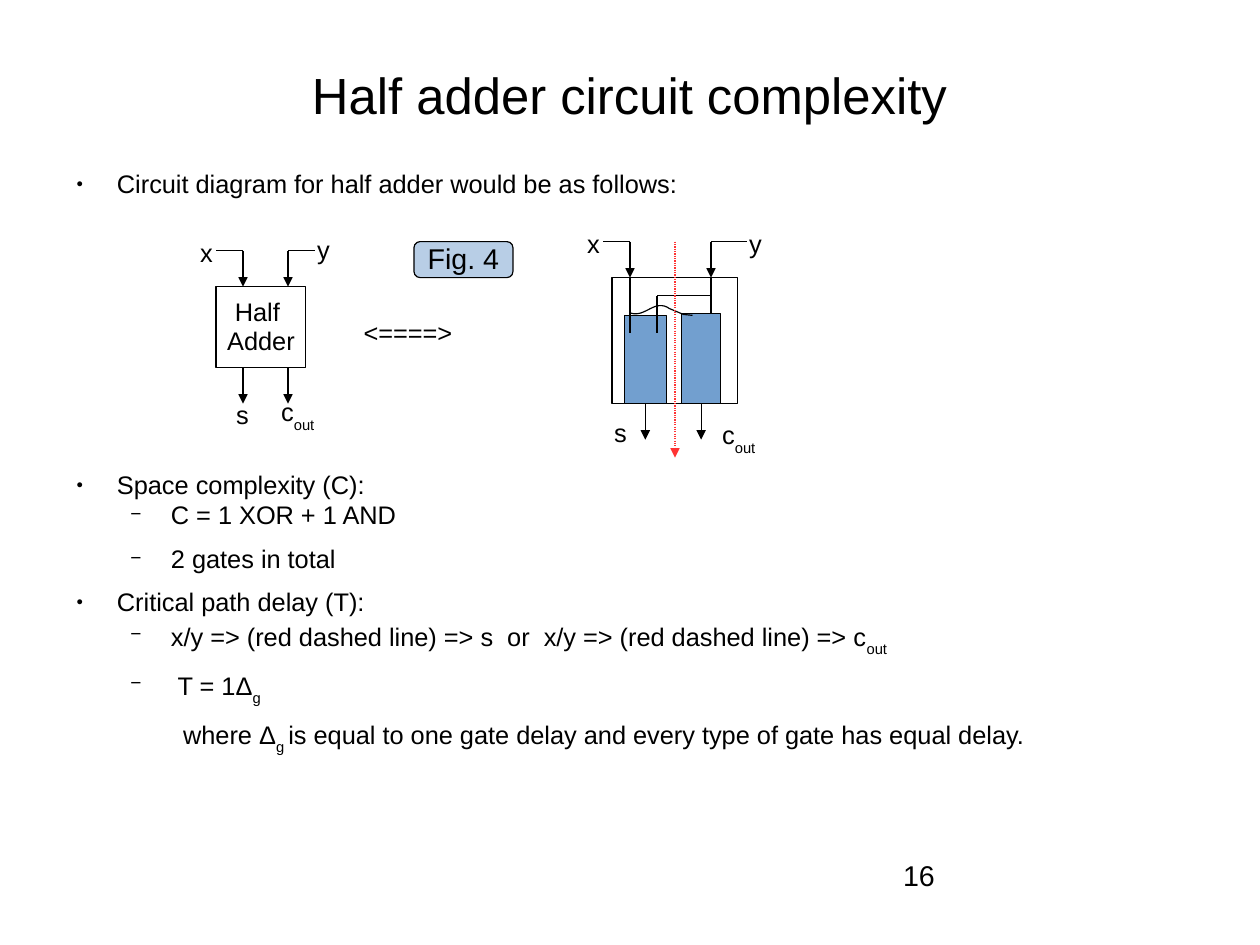
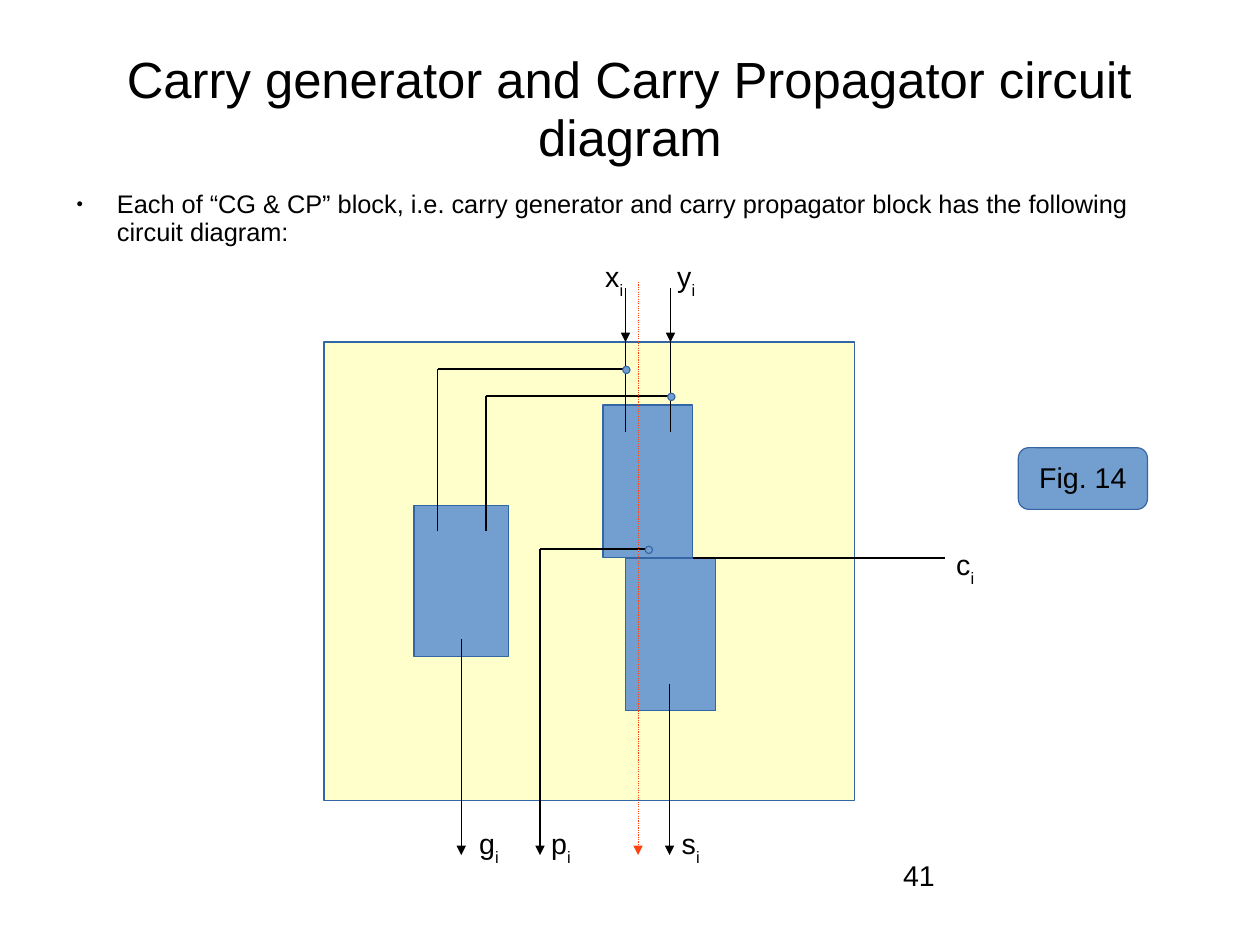
"""Build two slides on half adder and carry generator circuits."""
import dataclasses
import itertools

import lxml.etree
import pptx
import pptx.dml.color
import pptx.enum.dml
import pptx.enum.shapes
import pptx.enum.text
import pptx.oxml.ns
import pptx.util

COLUMNS, ROWS = 28, 21
CELL = pptx.util.Cm(1)
SHAPES = pptx.enum.shapes.MSO_SHAPE
CENTER = pptx.enum.text.PP_ALIGN.CENTER
MIDDLE = pptx.enum.text.MSO_ANCHOR.MIDDLE
BOTTOM_SIDE = 2


@dataclasses.dataclass(frozen=True)
class Theme:
    """Hold the colours and type sizes of the slides."""
    font: str = "Arial"
    black: str = "000000"
    white: str = "FFFFFF"
    panel: str = "FFFFCC"
    gate: str = "729FCF"
    outline: str = "3465A4"
    bright_red: str = "FF3333"
    orange_red: str = "FF420E"
    title_size: float = 32
    body_size: float = 16
    large_size: float = 18
    line_width: float = 0.75
    spacing: float = 0.94
    tight_spacing: float = 0.84


THEME = Theme()
NO_INSETS = (0, 0, 0, 0)
BODY_INSETS = (0, 0.03, 0, 0)
LABEL_INSETS = (0.25, 0.15, 0.25, 0.13)


@dataclasses.dataclass(frozen=True)
class Level:
    """Describe the indents and marker of a paragraph."""
    margin: float = 0
    indent: float = 0
    space_after: float = 0
    marker: str = ""
    marker_size: int = 100


PLAIN = Level()
BULLET = Level(1.2, -0.9, 2.9, "●", 45)
DASH = Level(2.4, -0.9, 11.4, "−", 75)
WIDE_DASH = Level(2.55, -1.05, 11.4, "−", 75)
CONTINUED = Level(2.67, 0, 11.4)


def cells(*values):
    """Turn grid cells into lengths."""
    return [round(value * CELL) for value in values]


def color(value):
    """Turn a hexadecimal value into a colour."""
    return pptx.dml.color.RGBColor.from_string(value)


def apply_format(target, values):
    """Set each attribute of the target from a dict."""
    for name, value in values.items():
        setattr(target, name, value)


def add_element(parent, tag, **attributes):
    """Append a drawing element to its parent."""
    return lxml.etree.SubElement(parent, pptx.oxml.ns.qn(tag), attributes)


def set_level(paragraph, level):
    """Give a paragraph its indents and its marker."""
    properties = paragraph._p.get_or_add_pPr()
    margin, indent = cells(level.margin, level.indent)
    properties.set("marL", str(margin))
    properties.set("indent", str(indent))
    if level.marker:
        marker_color = add_element(properties, "a:buClr")
        add_element(marker_color, "a:srgbClr", val=THEME.black)
        add_element(properties, "a:buSzPct", val=str(level.marker_size * 1000))
        add_element(properties, "a:buFont", typeface=THEME.font)
        add_element(properties, "a:buChar", char=level.marker)


def write(shape, paragraphs, size, insets=LABEL_INSETS, align=None, anchor=None,
          wrap=True, spacing=THEME.spacing):
    """Write (level, pieces) paragraphs, where every second piece is a subscript."""
    frame = shape.text_frame
    sides = ("margin_left", "margin_top", "margin_right", "margin_bottom")
    apply_format(frame, dict(zip(sides, cells(*insets))))
    apply_format(frame, {"word_wrap": wrap, "vertical_anchor": anchor})
    for index, (level, pieces) in enumerate(paragraphs):
        paragraph = frame.add_paragraph() if index else frame.paragraphs[0]
        set_level(paragraph, level)
        apply_format(paragraph, {
            "alignment": align,
            "line_spacing": spacing,
            "space_after": pptx.util.Pt(level.space_after),
        })
        for position, piece in enumerate(pieces):
            run = paragraph.add_run()
            run.text = piece
            apply_format(run.font, {"name": THEME.font, "size": pptx.util.Pt(size)})
            run.font.color.rgb = color(THEME.black)
            if position % 2:
                run._r.get_or_add_rPr().set("baseline", "-33000")


def add_text(slide, box, paragraphs, size, **options):
    """Add a text box."""
    write(slide.shapes.add_textbox(*cells(*box)), paragraphs, size, **options)


def add_label(slide, left, top, *pieces, size=THEME.body_size):
    """Add a short label with an optional subscript."""
    add_text(slide, (left, top, 2.8, 1.1), [(PLAIN, pieces)], size)


def set_line(line, value):
    """Give a line its colour and width."""
    line.color.rgb = color(value)
    line.width = pptx.util.Pt(THEME.line_width)


def add_block(slide, box, fill, outline=THEME.black, kind=SHAPES.RECTANGLE):
    """Add a filled and outlined shape."""
    shape = slide.shapes.add_shape(kind, *cells(*box))
    shape.shadow.inherit = False
    shape.fill.solid()
    shape.fill.fore_color.rgb = color(fill)
    set_line(shape.line, outline)
    return shape


def add_caption(slide, box, text, outline, opacity=100):
    """Add a rounded figure caption."""
    shape = add_block(slide, box, THEME.gate, outline, SHAPES.ROUNDED_RECTANGLE)
    shape.adjustments[0] = 0.17
    fill_color = shape._element.spPr.find(".//" + pptx.oxml.ns.qn("a:srgbClr"))
    add_element(fill_color, "a:alpha", val=str(opacity * 1000))
    write(shape, [(PLAIN, [text])], THEME.large_size, align=CENTER,
          anchor=MIDDLE, wrap=False)


def add_dot(slide, x, y, diameter=0.16):
    """Add a junction dot centred on a point."""
    box = (x - diameter / 2, y - diameter / 2, diameter, diameter)
    add_block(slide, box, THEME.gate, THEME.outline, SHAPES.OVAL)


def add_wire(slide, *points, arrow=False, source=None, value=THEME.black, dotted=False):
    """Run straight connectors through the points, with an arrow at the end."""
    for start, end in itertools.pairwise(points):
        connector = slide.shapes.add_connector(
            pptx.enum.shapes.MSO_CONNECTOR.STRAIGHT, *cells(*start, *end))
        set_line(connector.line, value)
        if dotted:
            connector.line.dash_style = pptx.enum.dml.MSO_LINE.ROUND_DOT
        if source and start == points[0]:
            connector.begin_connect(source, BOTTOM_SIDE)
        if arrow and end == points[-1]:
            add_element(connector.line._get_or_add_ln(), "a:tailEnd", type="triangle")
        add_element(connector._element.spPr, "a:effectLst")


def add_curve(slide, start, first, second, end, *tail, steps=16):
    """Draw a cubic curve followed by straight segments."""
    points = []
    for step in range(steps + 1):
        t = step / steps
        weights = ((1 - t) ** 3, 3 * t * (1 - t) ** 2, 3 * t * t * (1 - t), t ** 3)
        points.append([sum(weight * value for weight, value in zip(weights, axis))
                       for axis in zip(start, first, second, end)])
    points = [cells(*point) for point in [*points, *tail]]
    builder = slide.shapes.build_freeform(*points[0])
    builder.add_line_segments(points[1:], close=False)
    shape = builder.convert_to_shape()
    shape.shadow.inherit = False
    shape.fill.background()
    set_line(shape.line, THEME.black)


def add_slide(presentation, title, title_height, number):
    """Add a blank slide with its title and page number."""
    slide = presentation.slides.add_slide(presentation.slide_layouts[6])
    add_text(slide, (1.4, 0.84, 25.2, title_height), [(PLAIN, [title])],
             THEME.title_size, insets=(0, 0.08, 0, 0), align=CENTER, anchor=MIDDLE)
    add_text(slide, (20.07, 19.13, 6.5, 1.44), [(PLAIN, [number])],
             THEME.large_size, insets=NO_INSETS)
    return slide


def add_body(slide, top, height, paragraphs, spacing):
    """Add body text across the slide."""
    add_text(slide, (1.4, top, 25.2, height), paragraphs, THEME.body_size,
             insets=BODY_INSETS, spacing=spacing)


def draw_half_adder_block(slide):
    """Draw the half adder as a closed block."""
    top, bottom, reach = 6.37, 8.17, 0.8
    block = add_block(slide, (4.8, top, 2, bottom - top), THEME.white)
    write(block, [(PLAIN, ["Half "]), (PLAIN, ["Adder"])], THEME.body_size,
          align=CENTER, anchor=MIDDLE, wrap=False)
    for x, outer in ((5.4, 4.8), (6.4, 7)):
        add_wire(slide, (outer, top - reach), (x, top - reach), (x, top), arrow=True)
        add_wire(slide, (x, bottom), (x, bottom + reach), arrow=True)
    for label in ((4.2, 5.18, "x"), (6.8, 5.1, "y"), (5, 8.78, "s"),
                  (6, 8.66, "c", "out")):
        add_label(slide, *label)


def draw_half_adder_gates(slide):
    """Draw the gates inside the half adder."""
    top, bottom, reach = 6.17, 8.97, 0.8
    add_block(slide, (13.6, top, 2.8, bottom - top), THEME.white)
    for left, gate_top, width in ((15.15, 6.97, 0.86), (13.87, 7.01, 0.94)):
        gate = add_block(slide, (left, gate_top, width, bottom - gate_top), THEME.gate)
        x = left + width / 2
        add_wire(slide, (x, bottom), (x, bottom + reach), arrow=True, source=gate)
    for x, outer, end in ((14, 13.4, 7.39), (15.8, 16.6, 6.98)):
        add_wire(slide, (outer, top - reach), (x, top - reach), (x, top), arrow=True)
        add_wire(slide, (x, top), (x, end))
    add_wire(slide, (15.8, 6.57), (14.6, 6.57), (14.6, 7.39))
    add_curve(slide, (14.02, 6.96), (14.35, 7.06), (14.55, 6.63), (14.88, 6.86),
              (15.19, 6.99), (15.39, 7.01))
    for label in ((12.8, 4.98, "x"), (16.4, 4.98, "y"), (13.4, 9.17, "s"),
                  (15.8, 9.17, "c", "out")):
        add_label(slide, *label)
    add_wire(slide, (15, top - reach), (15, 10.17), arrow=True,
             value=THEME.bright_red, dotted=True)


def draw_carry_circuit(slide):
    """Draw the carry generator and propagator circuit."""
    top, end = 7.6, 19
    add_block(slide, (7.2, top, 11.8, 10.2), THEME.panel, THEME.outline)
    for box in ((13.4, 9, 2, 3.4), (9.2, 11.24, 2.1, 3.36), (13.9, 12.4, 2, 3.4)):
        add_block(slide, box, THEME.gate, THEME.outline)
    add_wire(slide, (15.4, 12.4), (21, 12.4))
    for x, branch_x, branch_y in ((13.9, 9.73, 8.2), (14.9, 10.8, 8.8)):
        add_wire(slide, (x, top - 1.2), (x, top), arrow=True)
        add_wire(slide, (x, top), (x, 9.6))
        add_wire(slide, (x, branch_y), (branch_x, branch_y), (branch_x, 11.8))
        add_dot(slide, x + 0.02, branch_y + 0.02)
    for points in (((10.25, 14.2), (10.25, end)), ((14.88, 15.2), (14.88, end)),
                   ((14.4, 12.2), (12, 12.2), (12, end))):
        add_wire(slide, *points, arrow=True)
    add_dot(slide, 14.42, 12.22)
    for left, label_top, letter in ((13.2, 5.6, "x"), (14.8, 5.6, "y"), (21, 12, "c"),
                                    (10.4, 18.2, "g"), (12, 18.2, "p"),
                                    (14.9, 18.2, "s")):
        add_label(slide, left, label_top, letter, "i", size=THEME.large_size)
    add_wire(slide, (14.18, 6.27), (14.18, end), arrow=True,
             value=THEME.orange_red, dotted=True)


def build_half_adder_slide(presentation):
    """Build the slide on half adder complexity."""
    slide = add_slide(presentation, "Half adder circuit complexity", 2.57, "16")
    add_body(slide, 3.81, 1, [
        (BULLET, ["Circuit diagram for half adder would be as follows:"]),
    ], THEME.tight_spacing)
    draw_half_adder_block(slide)
    add_label(slide, 7.83, 6.96, "<====>")
    add_caption(slide, (9.2, 5.37, 2.2, 0.8), "Fig. 4", THEME.black, opacity=50)
    draw_half_adder_gates(slide)
    add_body(slide, 10.5, 6.6, [
        (BULLET, ["Space complexity (C):"]),
        (DASH, ["C = 1 XOR + 1 AND"]),
        (DASH, ["2 gates in total"]),
        (BULLET, ["Critical path delay (T):"]),
        (DASH, ["x/y => (red dashed line) => s  or  x/y => (red dashed line) => c",
                "out"]),
        (WIDE_DASH, ["T = 1Δ", "g"]),
        (CONTINUED, ["where Δ", "g ", "is equal to one gate delay and every "
                     "type of gate has equal delay."]),
    ], THEME.tight_spacing)


def build_carry_slide(presentation):
    """Build the slide on the carry circuit."""
    slide = add_slide(presentation, "Carry generator and Carry Propagator circuit diagram",
                      3.15, "41")
    add_body(slide, 4.2, 1.5, [
        (BULLET, ["Each of “CG & CP” block, i.e. carry generator and carry "
                  "propagator block has the following circuit diagram:"]),
    ], THEME.spacing)
    draw_carry_circuit(slide)
    add_caption(slide, (22.63, 9.95, 2.87, 1.37), "Fig. 14", THEME.outline)


def main():
    """Build and save the presentation."""
    presentation = pptx.Presentation()
    apply_format(presentation, {"slide_width": COLUMNS * CELL, "slide_height": ROWS * CELL})
    build_half_adder_slide(presentation)
    build_carry_slide(presentation)
    presentation.save("out.pptx")


if __name__ == "__main__":
    main()
